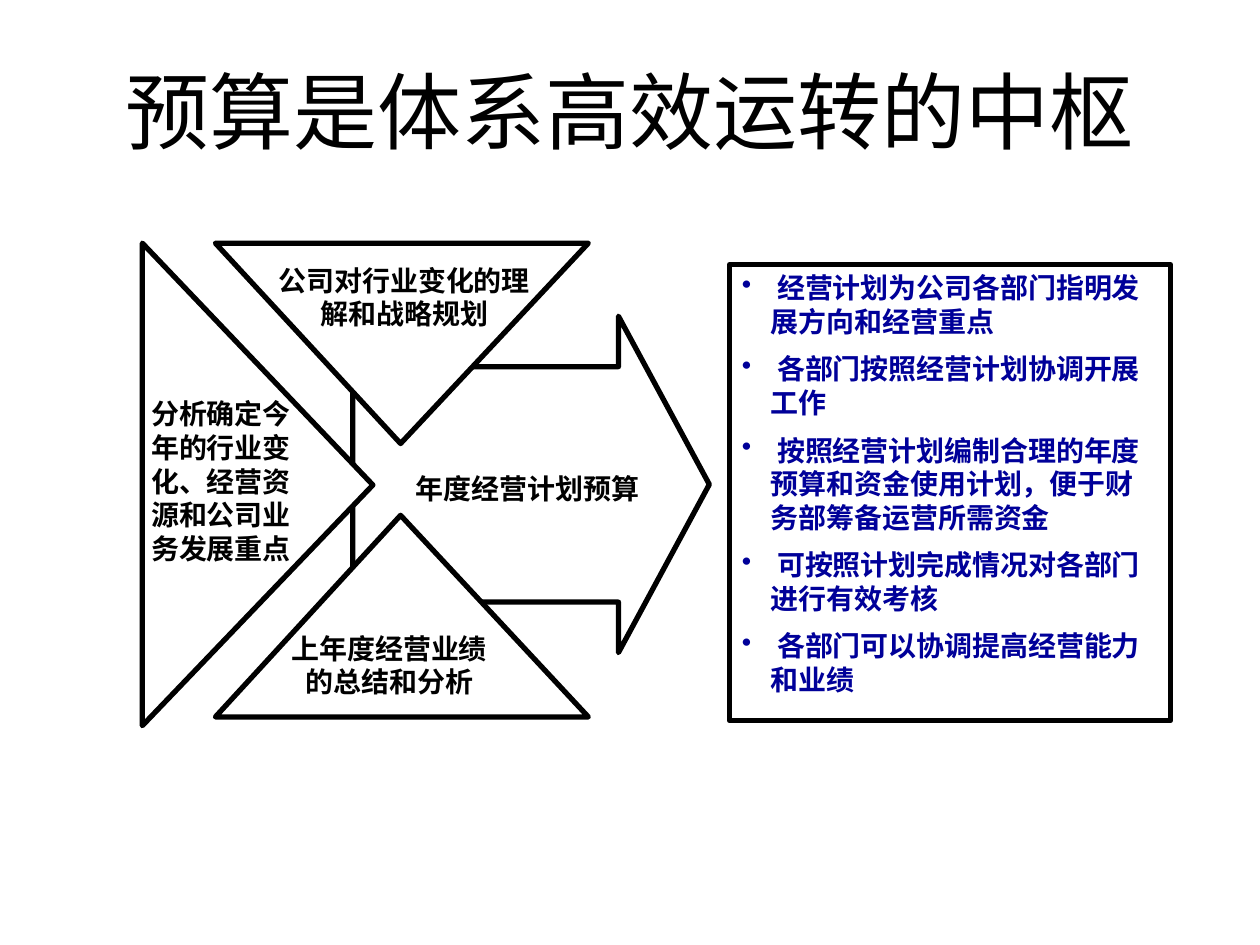
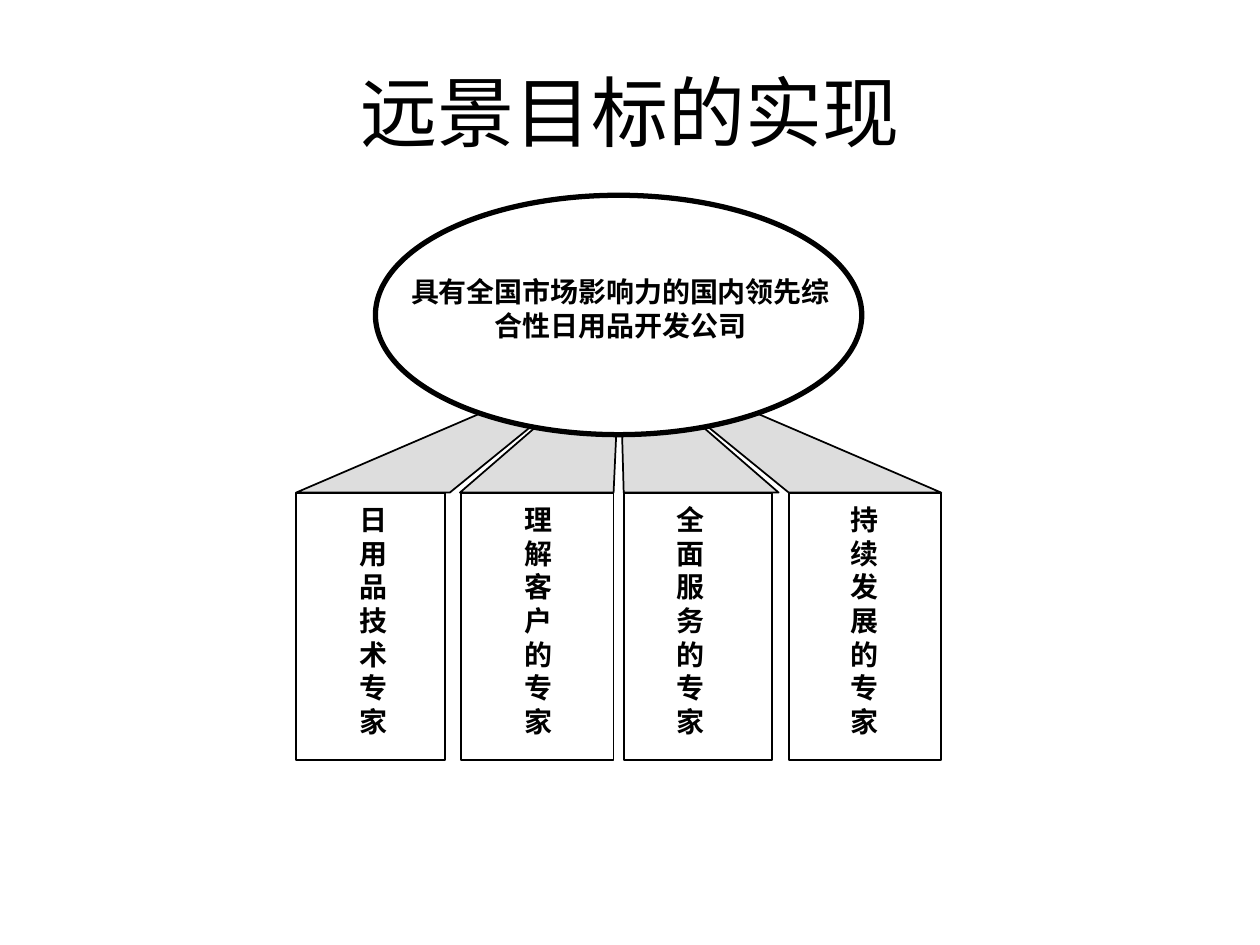
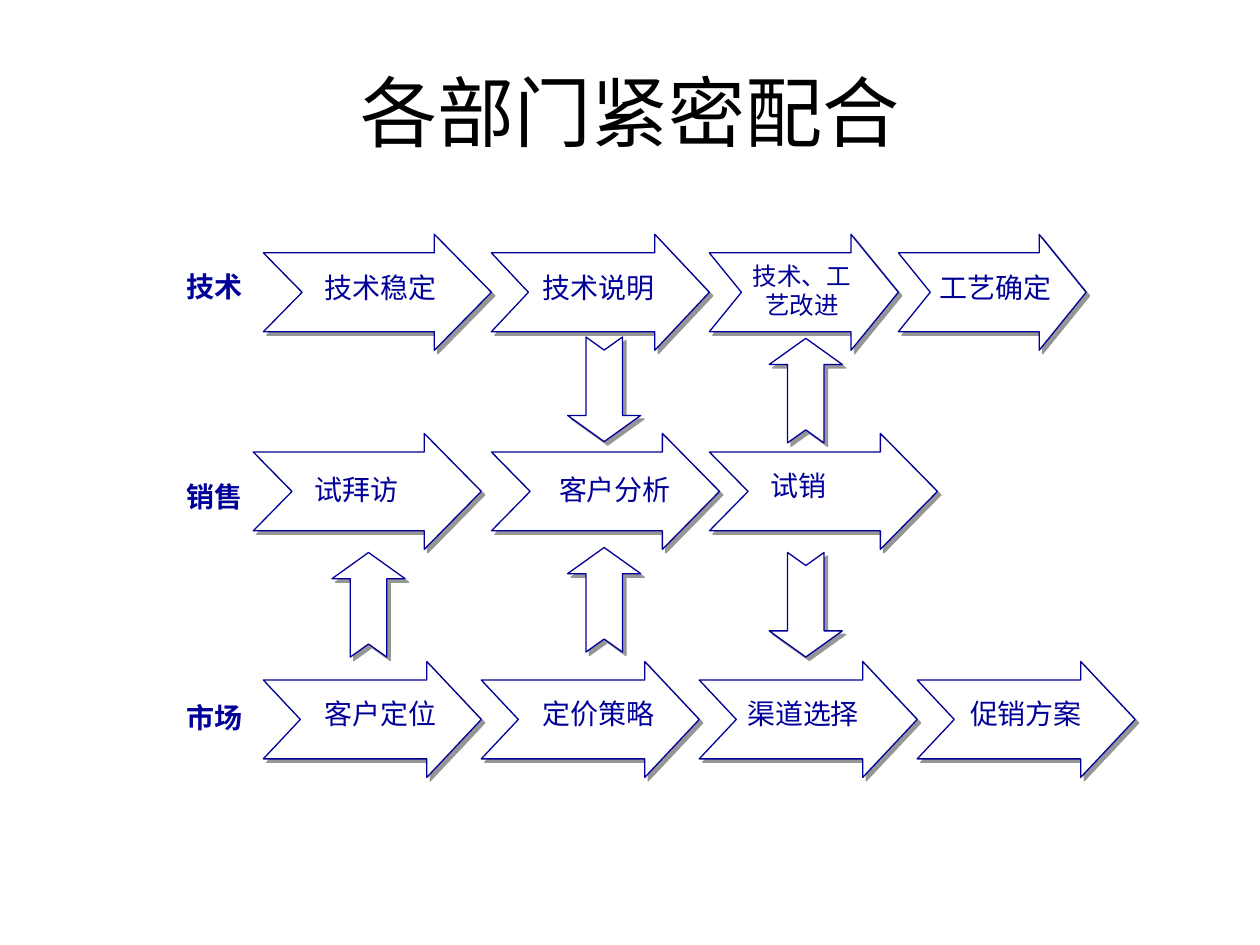
from lxml.etree import SubElement
from pptx import Presentation
from pptx.dml.color import RGBColor
from pptx.enum.shapes import MSO_SHAPE
from pptx.enum.text import MSO_ANCHOR, MSO_AUTO_SIZE, PP_ALIGN
from pptx.oxml.ns import qn
from pptx.util import Pt

# Shared settings: 100 px to the inch
EMU_PER_PX = 9144
COLORS = {"black": "000000", "white": "FFFFFF", "navy": "000099",
          "shade": "DDDDDD", "shadow": "969696"}
TITLE_FONT, LABEL_FONT, BODY_FONT = "Montserrat", "Arial", "Times New Roman"
TITLE_BOX = (33, 25, 934, 125)
ARROW_HEIGHT = 92
DEFAULT_MARGINS = (10, 5)


def px(length):
    return length * EMU_PER_PX


def color(name):
    return RGBColor.from_string(COLORS[name])


# Text
def format_paragraph(paragraph, size, font_name, color_name, bold, align):
    paragraph.alignment = align
    for run in paragraph.runs:
        run.font.size = Pt(size)
        run.font.name = font_name
        run.font.bold = bold
        run.font.color.rgb = color(color_name)


def add_text(slide, text, box, size=16, font_name=LABEL_FONT, color_name="black",
             bold=True, align=PP_ALIGN.LEFT, margins=(0, 0), wrap=True,
             anchor=MSO_ANCHOR.TOP):
    shape = slide.shapes.add_textbox(*map(px, box))
    frame = shape.text_frame
    frame.text = text
    frame.word_wrap = wrap
    frame.vertical_anchor = anchor
    frame.auto_size = MSO_AUTO_SIZE.NONE
    frame.margin_left = frame.margin_right = px(margins[0])
    frame.margin_top = frame.margin_bottom = px(margins[1])
    format_paragraph(frame.paragraphs[0], size, font_name, color_name, bold, align)


def add_navy_text(slide, text, box, **options):
    add_text(slide, text, box, font_name=BODY_FONT, color_name="navy",
             margins=DEFAULT_MARGINS, **options)


def add_title_slide(presentation, title, size=44):
    slide = presentation.slides.add_slide(presentation.slide_layouts[6])
    add_text(slide, title, TITLE_BOX, size, TITLE_FONT, bold=False,
             align=PP_ALIGN.CENTER, margins=DEFAULT_MARGINS, anchor=MSO_ANCHOR.MIDDLE)
    return slide


def add_bullets(shape, items):
    frame = shape.text_frame
    frame.word_wrap = True
    frame.vertical_anchor = MSO_ANCHOR.TOP
    frame.text = "\n".join(items)
    for index, paragraph in enumerate(frame.paragraphs):
        properties = paragraph._p.get_or_add_pPr()
        properties.set("marL", str(px(23)))
        properties.set("indent", str(px(-23)))
        SubElement(properties, qn("a:buChar")).set("char", "•")
        if index:
            paragraph.space_before = Pt(8)
        format_paragraph(paragraph, 16, BODY_FONT, "navy", True, PP_ALIGN.LEFT)


# Shapes
def style_shape(shape, line_width, fill="white", line="black"):
    shape.shadow.inherit = False
    if fill:
        shape.fill.solid()
        shape.fill.fore_color.rgb = color(fill)
    else:
        shape.fill.background()
    shape.line.color.rgb = color(line)
    shape.line.width = Pt(line_width)
    return shape


def add_preset(slide, preset, box, line_width, **colors):
    shape = slide.shapes.add_shape(preset, *map(px, box))
    return style_shape(shape, line_width, **colors)


def add_outline(slide, points, line_width, fill="white"):
    builder = slide.shapes.build_freeform(*points[0], scale=EMU_PER_PX)
    builder.add_line_segments(points[1:], close=True)
    shape = style_shape(builder.convert_to_shape(), line_width, fill)
    SubElement(shape._element.spPr.find(qn("a:ln")), qn("a:round"))


def add_notched_arrow(slide, box, shaft=0.68, rotation=0):
    arrow = add_preset(slide, MSO_SHAPE.NOTCHED_RIGHT_ARROW, box, 0.75, line="navy")
    arrow.adjustments[0] = shaft
    arrow.adjustments[1] = 0.25 * box[2] / box[3]
    arrow.rotation = rotation
    effects = arrow._element.spPr.find(qn("a:effectLst"))
    shadow = SubElement(effects, qn("a:outerShdw"), dist=str(Pt(2.8)),
                        dir="2700000", algn="ctr", rotWithShape="0")
    SubElement(shadow, qn("a:srgbClr")).set("val", COLORS["shadow"])


# Slides
def build_budget_slide(presentation):
    slide = add_title_slide(presentation, "预算是体系高效运转的中枢", 48)

    # Inputs pointing into the budget arrow
    budget_arrow = add_preset(slide, MSO_SHAPE.RIGHT_ARROW, (280, 251, 283, 267), 3)
    budget_arrow.adjustments[0] = 0.7
    budget_arrow.adjustments[1] = 0.27
    for triangle in (
        [(171, 193), (467, 193), (318, 352)],
        [(113, 193), (296, 385), (113, 576)],
        [(171, 569), (467, 569), (318, 409)],
    ):
        add_outline(slide, triangle, 3)
    add_text(slide, "年度经营计划预算", (330, 374, 179, 27), wrap=False)
    add_text(slide, "分析确定今年的行业变化、经营资源和公司业务发展重点",
             (120, 315, 126, 169), font_name=BODY_FONT)
    add_text(slide, "上年度经营业绩的总结和分析", (230, 501, 158, 53),
             align=PP_ALIGN.CENTER)
    add_text(slide, "公司对行业变化的理解和战略规划", (221, 209, 200, 53),
             align=PP_ALIGN.CENTER)

    # Benefits
    benefits = add_preset(slide, MSO_SHAPE.RECTANGLE, (579, 210, 350, 362), 3, fill=None)
    add_bullets(benefits, [
        " 经营计划为公司各部门指明发展方向和经营重点",
        " 各部门按照经营计划协调开展工作",
        " 按照经营计划编制合理的年度预算和资金使用计划，便于财务部筹备运营所需资金",
        " 可按照计划完成情况对各部门进行有效考核",
        " 各部门可以协调提高经营能力和业绩",
    ])


def build_vision_slide(presentation):
    slide = add_title_slide(presentation, "远景目标的实现")

    # Rays from the vision to its pillars
    add_outline(slide, [
        (235, 391), (491, 281), (747, 391), (626, 391), (491, 281), (618, 391),
        (495, 391), (492, 281), (487, 391), (365, 391), (491, 282), (357, 391),
    ], 1, "shade")

    # Pillars: left, width, text left, text width
    for text, left, width, text_left, text_width in (
        ("日用品技术专家", 235, 118, 285, 37),
        ("理解客户的专家", 366, 121, 416, 41),
        ("全面服务的专家", 495, 118, 537, 28),
        ("持续发展的专家", 626, 121, 675, 40),
    ):
        add_preset(slide, MSO_SHAPE.RECTANGLE, (left, 391, width, 212), 1)
        add_text(slide, text, (text_left, 399, text_width, 187))

    # Vision
    add_preset(slide, MSO_SHAPE.OVAL, (298, 155, 386, 190), 3)
    add_text(slide, "具有全国市场影响力的国内领先综合性日用品开发公司",
             (325, 218, 335, 53), align=PP_ALIGN.CENTER)


def build_departments_slide(presentation):
    slide = add_title_slide(presentation, "各部门紧密配合")
    center = PP_ALIGN.CENTER

    # Department rows: name, name top, arrow top, arrows as (left, width)
    for name, name_top, arrow_top, arrows in (
        ("技术", 209, 186, [(209, 181), (390, 173), (563, 150), (713, 149)]),
        ("销售", 376, 344, [(201, 181), (390, 181), (563, 181)]),
        ("市场", 551, 525, [(209 + 173 * step, 173) for step in range(4)]),
    ):
        add_navy_text(slide, name, (138, name_top, 75, 37))
        for left, width in arrows:
            add_notched_arrow(slide, (left, arrow_top, width, ARROW_HEIGHT))

    # Hand-overs between departments: 90 points down, 270 points up
    for left, top, rotation in ((438, 280, 90), (598, 281, 270), (251, 451, 270),
                                (438, 447, 270), (598, 451, 90)):
        add_notched_arrow(slide, (left, top, 83, 58), 0.5, rotation)

    # Step labels
    for text, left, top, width, align in (
        ("技术稳定", 248, 210, 110, None),
        ("技术说明", 421, 210, 118, None),
        ("工艺确定", 736, 210, 110, None),
        ("试拜访", 240, 370, 150, None),
        ("客户分析", 429, 370, 118, center),
        ("试销", 602, 367, 67, None),
        ("客户定位", 248, 548, 131, None),
        ("定价策略", 421, 548, 120, None),
        ("渠道选择", 571, 548, 133, center),
        ("促销方案", 760, 548, 118, None),
    ):
        add_navy_text(slide, text, (left, top, width, 37), bold=False, align=align)
    add_navy_text(slide, "技术、工艺改进", (587, 202, 99, 57), size=14, bold=False,
                  align=center)


def main():
    presentation = Presentation()
    presentation.slide_width = px(1000)
    presentation.slide_height = px(750)
    build_budget_slide(presentation)
    build_vision_slide(presentation)
    build_departments_slide(presentation)
    presentation.save("out.pptx")


if __name__ == "__main__":
    main()
